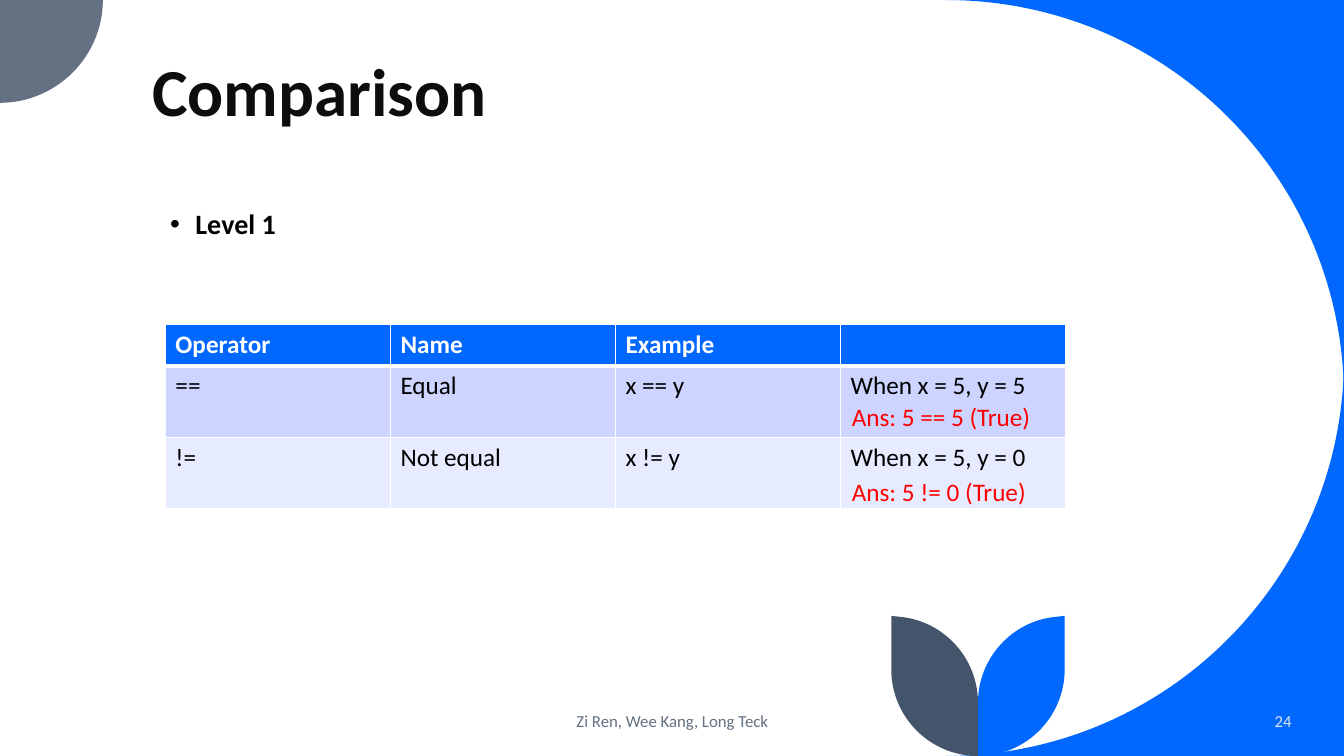
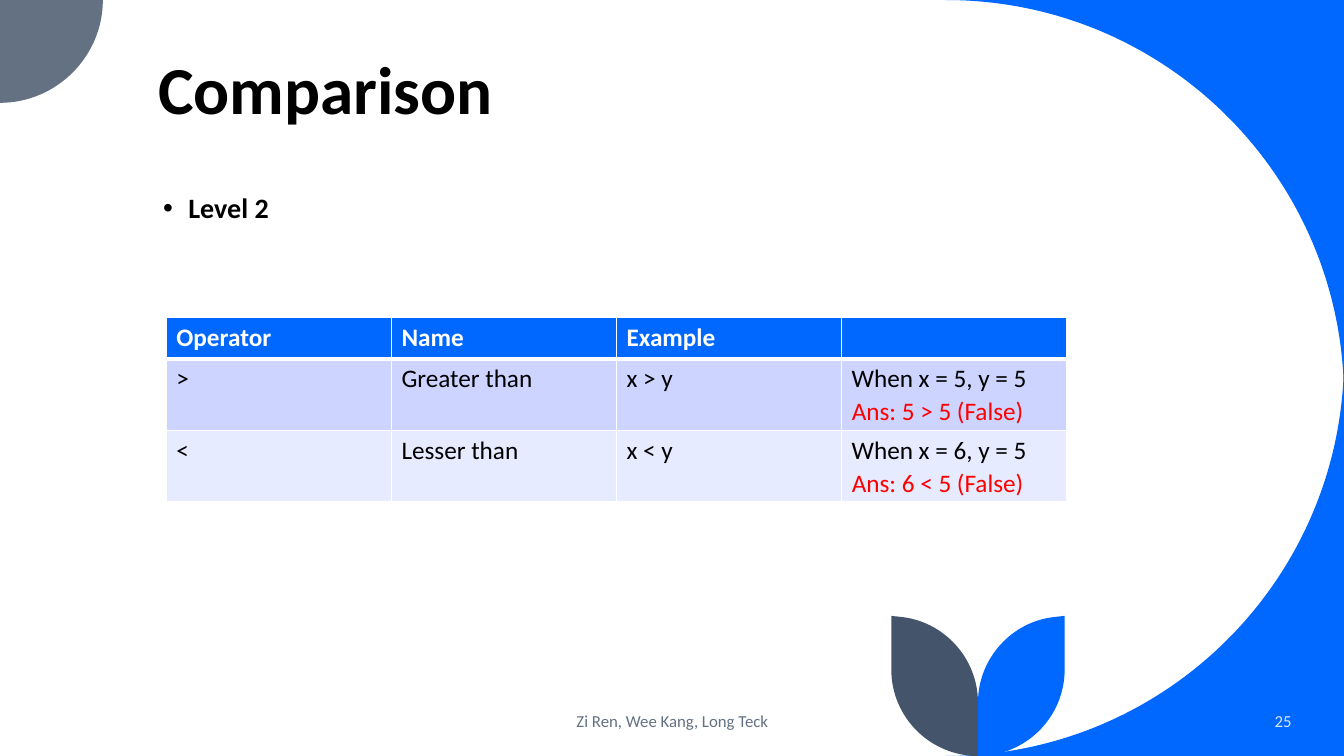
from pptx import Presentation
from pptx.dml.color import RGBColor as Rgb
from pptx.enum.text import MSO_ANCHOR as Anchor, MSO_AUTO_SIZE as Fit, PP_ALIGN as Align
from pptx.oxml import parse_xml
from pptx.oxml.ns import nsdecls, qn
from pptx.util import Inches, Pt

THEME = {
    "font": "Calibri",
    "blue": "0068FF", "slate": "637183", "navy": "44546A",
    "pale": "DAE5EF", "white": "FFFFFF", "black": "000000",
    "ink": "0D0D0D", "red": "FF0000",
    "bands": ("CCD4FF", "E7EBFF"),
    "title": 48, "level": 20, "body": 18, "foot": 12,
}
HEAD = ("Operator", "Name", "Example", "")
TEAM = "Zi Ren, Wee Kang, Long Teck"
SLIDES = [
    {
        "title": ("Comparison", 1.41, 0.5, "ink"),
        "level": ("Level 1", 1.59, 2.04),
        "table": (1.64, 3.22),
        "rows": [("==", "Equal", "x == y", "When x = 5, y = 5"),
                 ("!=", "Not equal", "x != y", "When x = 5, y = 0")],
        "answers": [("Ans: 5 == 5 (True)", 3.93), ("Ans: 5 != 0 (True)", 4.68)],
        "size": (2.16, 0.71),
        "page": "24",
    },
    {
        "title": ("Comparison", 1.47, 0.48, "black"),
        "level": ("Level 2", 1.52, 1.88),
        "table": (1.65, 3.15),
        "rows": [(">", "Greater than", "x > y", "When x = 5, y = 5"),
                 ("<", "Lesser than", "x < y", "When x = 6, y = 5")],
        "answers": [("Ans: 5 > 5 (False)", 3.87), ("Ans: 6 < 5 (False)", 4.59)],
        "size": (3, 0.4),
        "page": "25",
    },
]
LEAF = [(10.56, 6.11), (10.56, 6.64),
        ((10.56, 7.12), (10.17, 7.5), (9.7, 7.5)), (9.7, 6.97),
        ((9.7, 6.53), (10.04, 6.16), (10.47, 6.12))]
MID = 9.7


def curved(part):
    return isinstance(part[0], tuple)


def flip(part):
    if curved(part):
        return tuple(flip(point) for point in part)
    return 2 * MID - part[0], part[1]


DECOR = [
    ("blue", [(13.33, 0), (9.38, 0), ((11.57, 0), (13.33, 1.77), (13.33, 3.95))]),
    ("blue", [(13.33, 3.55), ((13.33, 5.73), (11.57, 7.5), (9.38, 7.5)), (13.33, 7.5)]),
    ("slate", [(0, 0), (1.02, 0), ((1.02, 0.56), (0.56, 1.02), (0, 1.02))]),
    ("blue", LEAF),
    ("navy", [flip(part) for part in LEAF]),
]


def color(name):
    return Rgb.from_string(THEME.get(name, name))


def apply(item, values):
    for key, value in values.items():
        setattr(item, key, value)


def style(para, size, tint, bold=False):
    apply(para.font, {"name": THEME["font"], "size": Pt(THEME[size]), "bold": bold})
    para.font.color.rgb = color(tint)


def bend(shape, parts):
    lines = iter(list(shape._element.iter(qn("a:lnTo"))))
    for part in parts:
        line = next(lines)
        if curved(part):
            curve = parse_xml(f"<a:cubicBezTo {nsdecls('a')}/>")
            line.addprevious(curve)
            for knot in (line, next(lines), next(lines)):
                curve.append(knot[0])
                knot.getparent().remove(knot)


def add_decor(slide):
    for tint, (start, *parts) in DECOR:
        points = []
        for part in parts:
            points.extend(part if curved(part) else [part])
        pen = slide.shapes.build_freeform(*map(Inches, start), scale=1.0)
        pen.add_line_segments([tuple(map(Inches, point)) for point in points], close=True)
        shape = pen.convert_to_shape()
        bend(shape, parts)
        shape.shadow.inherit = False
        shape.fill.solid()
        shape.fill.fore_color.rgb = color(tint)
        shape.line.fill.background()


def add_text(slide, text, box, size, tint, bold=False, bullet=False,
             anchor=Anchor.TOP, fit=Fit.NONE, **values):
    frame = slide.shapes.add_textbox(*map(Inches, box)).text_frame
    apply(frame, {"word_wrap": True, "vertical_anchor": anchor, "auto_size": fit})
    para = frame.paragraphs[0]
    para.text = text
    if bullet:
        props = para._p.get_or_add_pPr()
        props.set("marL", str(Inches(0.25)))
        props.set("indent", str(-Inches(0.25)))
        for tag in ('buFont {} typeface="Arial"', 'buChar {} char="•"'):
            props.append(parse_xml(f"<a:{tag.format(nsdecls('a'))}/>"))
    style(para, size, tint, bold)
    apply(para, values)


def add_edges(cell, widths):
    props = cell._tc.get_or_add_tcPr()
    for side, width in zip("LRTB", widths):
        props.append(parse_xml(
            f'<a:ln{side} {nsdecls("a")} w="{Pt(width)}"><a:solidFill>'
            f'<a:srgbClr val="{THEME["white"]}"/></a:solidFill></a:ln{side}>'))


def add_grid(slide, spot, body):
    rows = [HEAD, *body]
    box = (*spot, 8.93, 1.81)
    grid = slide.shapes.add_table(len(rows), len(HEAD), *map(Inches, box)).table
    grid.horz_banding = False
    for col in grid.columns:
        col.width = Inches(8.93 / len(HEAD))
    for r, row in enumerate(rows):
        grid.rows[r].height = Inches(0.71 if r else 0.41)
        fill = THEME["bands"][(r - 1) % 2] if r else "blue"
        edges = (1, 1, 3 if r == 1 else 1, 1 if r else 3)
        for c, text in enumerate(row):
            cell = grid.cell(r, c)
            cell.text = text
            style(cell.text_frame.paragraphs[0], "body", "black" if r else "white", not r)
            add_edges(cell, edges)
            cell.fill.solid()
            cell.fill.fore_color.rgb = color(fill)


def add_page(deck, data):
    slide = deck.slides.add_slide(deck.slide_layouts[6])
    add_decor(slide)
    title, x, y, tint = data["title"]
    add_text(slide, title, (x, y, 10.69, 0.85), "title", tint, True,
             anchor=Anchor.BOTTOM, line_spacing=0.9)
    add_text(slide, TEAM, (4.42, 6.95, 4.5, 0.4), "foot", "slate",
             anchor=Anchor.MIDDLE, alignment=Align.CENTER)
    add_text(slide, data["page"], (11.1, 6.95, 1.81, 0.4), "foot", "pale",
             anchor=Anchor.MIDDLE, alignment=Align.RIGHT)
    level, x, y = data["level"]
    add_text(slide, level, (x, y, 4.44, 0.4), "level", "black", True,
             bullet=True, line_spacing=0.9)
    add_grid(slide, data["table"], data["rows"])
    for text, y in data["answers"]:
        add_text(slide, text, (8.35, y, *data["size"]), "body", "red",
                 fit=Fit.SHAPE_TO_FIT_TEXT)


def main():
    deck = Presentation()
    apply(deck, {"slide_width": Inches(13.33), "slide_height": Inches(7.5)})
    for data in SLIDES:
        add_page(deck, data)
    deck.save("out.pptx")


if __name__ == "__main__":
    main()
